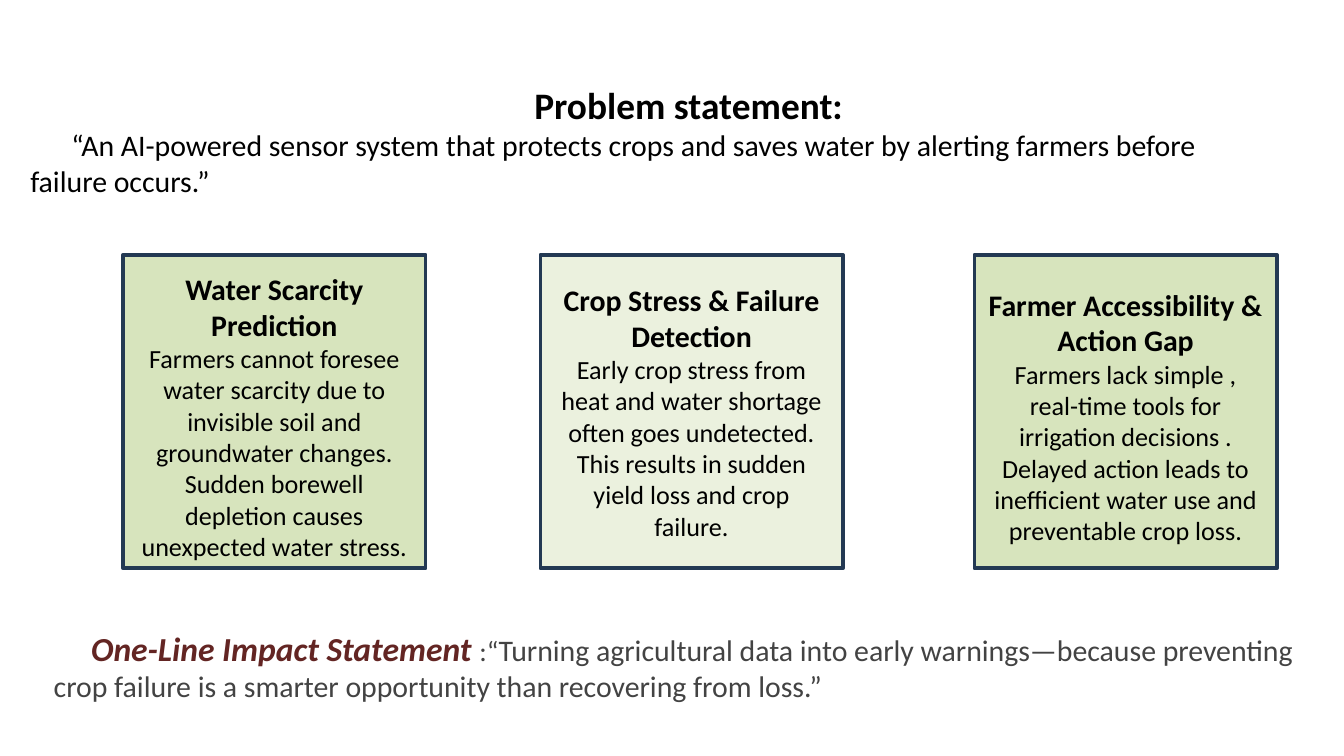
from dataclasses import dataclass

from pptx import Presentation
from pptx.dml.color import RGBColor
from pptx.enum.shapes import MSO_SHAPE
from pptx.enum.text import MSO_ANCHOR, PP_ALIGN
from pptx.slide import Slide
from pptx.text.text import Font, TextFrame
from pptx.util import Pt


@dataclass
class Card:
    left: float
    fill: str
    head: str
    body: str
    drop: float = 0


CARDS = [
    Card(66, "D7E4BD", "Water Scarcity Prediction",
         "Farmers cannot foresee water scarcity due to invisible soil and "
         "groundwater changes. Sudden borewell depletion causes unexpected "
         "water stress.", 2.5),
    Card(289.5, "EBF1DE", "Crop Stress & Failure Detection",
         "Early crop stress from heat and water shortage often goes "
         "undetected. This results in sudden yield loss and crop failure."),
    Card(522, "D7E4BD", "Farmer Accessibility & Action Gap",
         "Farmers lack simple , real-time tools for irrigation decisions . "
         "Delayed action leads to inefficient water use and preventable "
         "crop loss.", 2.5),
]


def color(code: str) -> RGBColor:
    return RGBColor.from_string(code)


def style(font: Font, size: float, code: str = "000000",
          bold: bool = False, italic: bool = False) -> None:
    font.name = "Calibri"
    font.size = Pt(size)
    font.color.rgb = color(code)
    font.bold = bold
    font.italic = italic


def indent(para, first: float, left: float = 0) -> None:
    props = para._p.get_or_add_pPr()
    props.set("marL", str(Pt(left)))
    props.set("indent", str(Pt(first)))


def add_box(slide: Slide, left: float, top: float,
            width: float, height: float) -> TextFrame:
    box = slide.shapes.add_textbox(Pt(left), Pt(top), Pt(width), Pt(height))
    frame = box.text_frame
    frame.word_wrap = True
    frame.margin_left = frame.margin_right = 0
    frame.margin_top = frame.margin_bottom = 0
    return frame


def add_title(slide: Slide) -> None:
    frame = add_box(slide, 12.24, 44, 731.5, 63.4)
    head = frame.paragraphs[0]
    head.text = "Problem statement:"
    style(head.font, 20, bold=True)
    indent(head, 274)
    quote = frame.add_paragraph()
    quote.text = ("“An AI-powered sensor system that protects crops and saves "
                  "water by alerting farmers before\vfailure occurs.”")
    style(quote.font, 16)
    indent(quote, 22, 4)


def add_card(slide: Slide, card: Card) -> None:
    shape = slide.shapes.add_shape(
        MSO_SHAPE.RECTANGLE, Pt(card.left), Pt(136.5), Pt(162), Pt(168))
    shape.shadow.inherit = False
    shape.fill.solid()
    shape.fill.fore_color.rgb = color(card.fill)
    shape.line.color.rgb = color("233953")
    shape.line.width = Pt(2)
    frame = shape.text_frame
    frame.word_wrap = True
    frame.vertical_anchor = MSO_ANCHOR.MIDDLE
    frame.margin_top = Pt(3.6 + card.drop)
    frame.margin_bottom = Pt(3.6 - card.drop)
    head, body = frame.paragraphs[0], frame.add_paragraph()
    for para, text, size in ((head, card.head, 16), (body, card.body, 14)):
        para.text = text
        para.alignment = PP_ALIGN.CENTER
        style(para.font, size, bold=para is head)


def add_impact(slide: Slide) -> None:
    para = add_box(slide, 28.8, 336.25, 678, 41).paragraphs[0]
    indent(para, 20)
    label, mark, claim = (para.add_run() for _ in range(3))
    label.text = "One-Line Impact Statement "
    style(label.font, 18, "632523", True, True)
    mark.text = ":“"
    style(mark.font, 15, "434343")
    claim.text = ("Turning agricultural data into early warnings—because "
                  "preventing crop failure is a smarter opportunity than "
                  "recovering from loss.”")
    style(claim.font, 16, "434343")


def main() -> None:
    deck = Presentation()
    deck.slide_width, deck.slide_height = Pt(720), Pt(405)
    slide = deck.slides.add_slide(deck.slide_layouts[6])
    add_title(slide)
    add_impact(slide)
    for card in CARDS:
        add_card(slide, card)
    deck.save("out.pptx")


if __name__ == "__main__":
    main()
